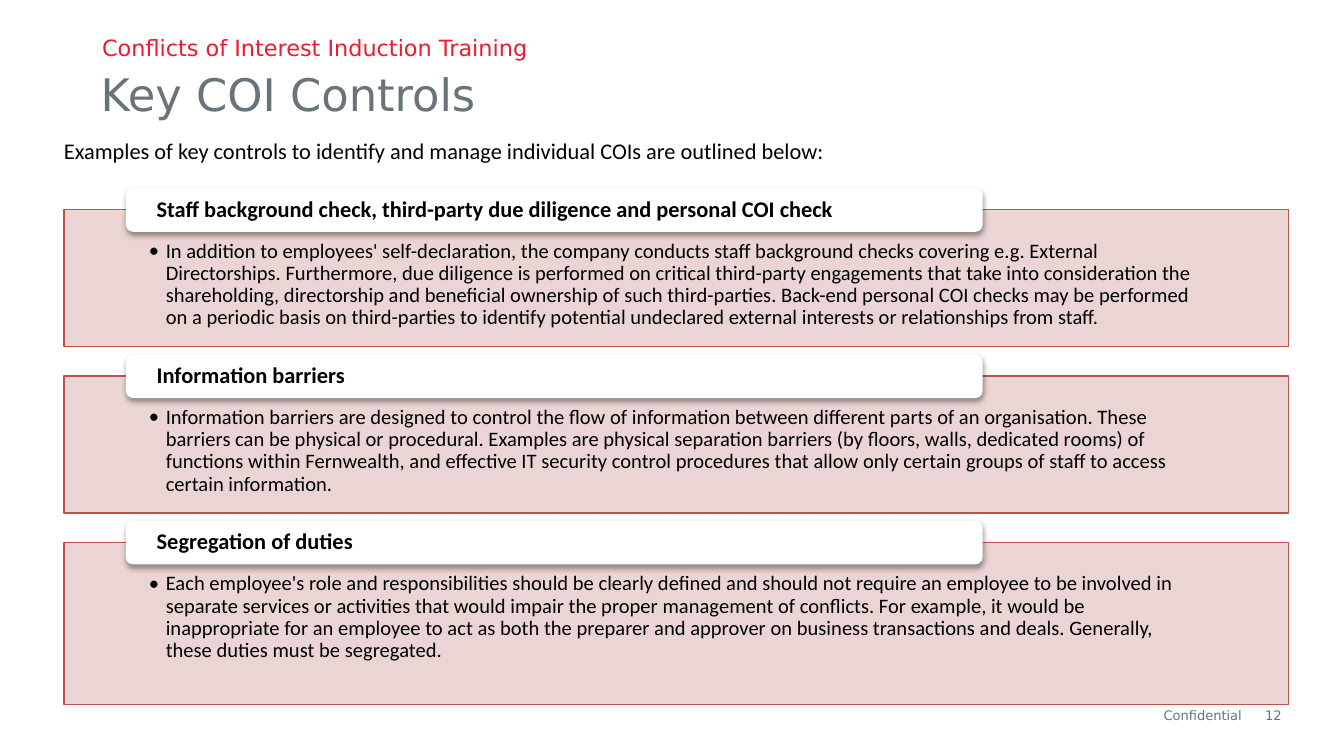
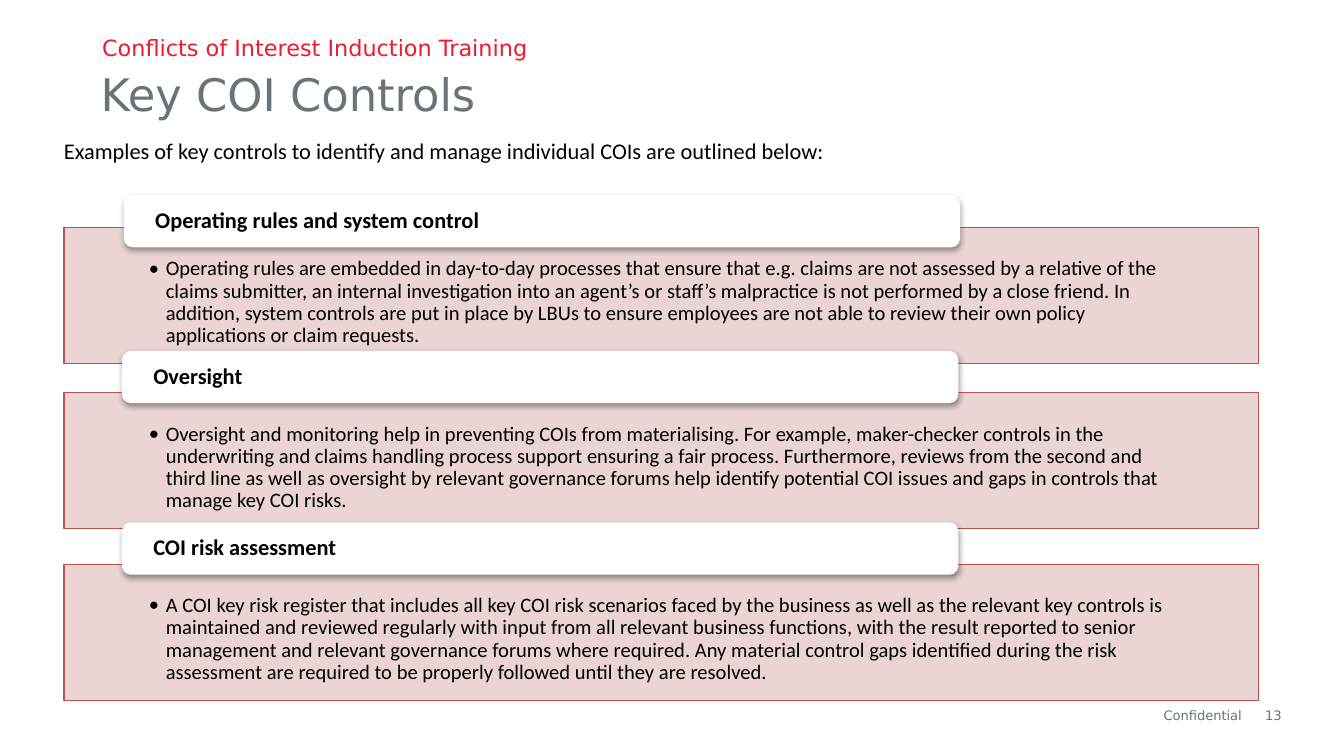
from dataclasses import dataclass
from typing import Any

from lxml.etree import SubElement
from pptx import Presentation
from pptx.dml.color import RGBColor
from pptx.enum.shapes import MSO_SHAPE
from pptx.enum.text import MSO_ANCHOR, PP_ALIGN
from pptx.oxml.ns import qn
from pptx.util import Pt

COLORS = {
    "heading": "68737A",
    "footer": "687379",
    "accent": "ED1B2E",
    "ink": "000000",
    "panel": "E8D0D0",
    "border": "C0504D",
    "white": "FFFFFF",
}

# Font, color and paragraph values of each text style
STYLES: dict[str, dict[str, Any]] = {
    "title": dict(font=dict(name="DejaVu Sans", size=Pt(24)), color="heading",
                  para=dict(line_spacing=Pt(28))),
    "kicker": dict(font=dict(name="DejaVu Sans", size=Pt(12)), color="accent",
                   para=dict(line_spacing=Pt(12))),
    "intro": dict(font=dict(name="Calibri", size=Pt(12)), color="ink", para={}),
    "footer": dict(font=dict(name="DejaVu Sans", size=Pt(7)), color="footer",
                   para=dict(line_spacing=Pt(8))),
    "number": dict(font=dict(name="DejaVu Sans", size=Pt(7)), color="heading",
                   para=dict(line_spacing=Pt(8), alignment=PP_ALIGN.RIGHT)),
    "label": dict(font=dict(name="Calibri", size=Pt(12), bold=True), color="ink",
                  para=dict(line_spacing=0.9, alignment=PP_ALIGN.LEFT)),
    "body": dict(font=dict(name="Calibri", size=Pt(11), bold=False), color="ink",
                 para=dict(line_spacing=0.9, alignment=PP_ALIGN.LEFT, level=1)),
}

PANEL_LEFT = 34.4
BULLET_INDENT = Pt(9)


@dataclass
class Box:
    left: float
    top: float
    width: float
    height: float

    def emu(self) -> list[int]:
        return [Pt(v) for v in (self.left, self.top, self.width, self.height)]


@dataclass
class Control:
    heading: str
    text: str
    panel: Box
    label: Box


@dataclass
class ControlSlide:
    number: int
    controls: list[Control]


def rgb(name: str) -> RGBColor:
    return RGBColor.from_string(COLORS[name])


def write(tf, text: str, style: str, insets=(0, 0, 0, 0), anchor=MSO_ANCHOR.TOP) -> None:
    """Fill a text frame with one styled paragraph."""
    sides = ("margin_left", "margin_top", "margin_right", "margin_bottom")
    frame = dict(zip(sides, map(Pt, insets)), word_wrap=True, vertical_anchor=anchor)
    st = STYLES[style]
    p = tf.paragraphs[0]
    if style == "body":
        pPr = p._p.get_or_add_pPr()
        pPr.set("marL", str(BULLET_INDENT))
        pPr.set("indent", str(-BULLET_INDENT))
        SubElement(pPr, qn("a:buFont"), typeface=st["font"]["name"])
        SubElement(pPr, qn("a:buChar"), char="•")
    r = p.add_run()
    r.text = text
    for target, values in ((tf, frame), (p, st["para"]), (r.font, st["font"])):
        for key, value in values.items():
            setattr(target, key, value)
    r.font.color.rgb = rgb(st["color"])


def add_text(s, box: Box, text: str, style: str, insets=(0, 0, 0, 0)) -> None:
    write(s.shapes.add_textbox(*box.emu()).text_frame, text, style, insets)


def add_filled(s, kind, box: Box, fill: str):
    sp = s.shapes.add_shape(kind, *box.emu())
    sp.shadow.inherit = False
    sp.fill.solid()
    sp.fill.fore_color.rgb = rgb(fill)
    return sp


def add_control(s, c: Control) -> None:
    # Translucent panel with the explanation
    sp = add_filled(s, MSO_SHAPE.RECTANGLE, c.panel, "panel")
    color = sp._element.spPr.find(qn("a:solidFill")).find(qn("a:srgbClr"))
    SubElement(color, qn("a:alpha"), val="90000")
    sp.line.color.rgb = rgb("border")
    sp.line.width = Pt(0.75)
    write(sp.text_frame, c.text, "body", insets=(45.4, 16.4, 45.4, 7.9))

    # White heading tab with a soft shadow
    sp = add_filled(s, MSO_SHAPE.ROUNDED_RECTANGLE, c.label, "white")
    sp.line.fill.background()
    effects = sp._element.spPr.find(qn("a:effectLst"))
    shadow = SubElement(effects, qn("a:outerShdw"), blurRad=str(Pt(3.1)),
                        dist=str(Pt(1.6)), dir="5400000", rotWithShape="0")
    color = SubElement(shadow, qn("a:srgbClr"), val=COLORS["ink"])
    SubElement(color, qn("a:alpha"), val="38000")
    write(sp.text_frame, c.heading, "label", insets=(15.4, 0, 15.4, 0),
          anchor=MSO_ANCHOR.MIDDLE)


def add_slide(prs, content: ControlSlide) -> None:
    s = prs.slides.add_slide(prs.slide_layouts[6])
    # Footer
    add_text(s, Box(623.4, 379.4, 47, 8), "Confidential", "footer")
    add_text(s, Box(672.6, 379.4, 14, 8), str(content.number), "number")
    # Heading
    add_text(s, Box(54, 36.3, 566.6, 23), "Key COI Controls", "title")
    add_text(s, Box(54, 20.9, 566.6, 11.5), "Conflicts of Interest Induction Training",
             "kicker", insets=(0.7, 0, 0, 0))
    add_text(s, Box(34.2, 73.4, 706.3, 15.1),
             "Examples of key controls to identify and manage individual COIs "
             "are outlined below:", "intro")
    # Controls
    for c in content.controls:
        add_control(s, c)


# Contents of the first slide: evenly pitched panels
CHECKS = [
    ("Staff background check, third-party due diligence and personal COI check",
     "In addition to employees' self-declaration, the company conducts staff background "
     "checks covering e.g. External Directorships. Furthermore, due diligence is performed "
     "on critical third-party engagements that take into consideration the shareholding, "
     "directorship and beneficial ownership of such third-parties. Back-end personal COI "
     "checks may be performed on a periodic basis on third-parties to identify potential "
     "undeclared external interests or relationships from staff.", 73.4),
    ("Information barriers",
     "Information barriers are designed to control the flow of information between "
     "different parts of an organisation. These barriers can be physical or procedural. "
     "Examples are physical separation barriers (by floors, walls, dedicated rooms) of "
     "functions within Fernwealth, and effective IT security control procedures that allow "
     "only certain groups of staff to access certain information.", 73.4),
    ("Segregation of duties",
     "Each employee's role and responsibilities should be clearly defined and should not "
     "require an employee to be involved in separate services or activities that would "
     "impair the proper management of conflicts. For example, it would be inappropriate "
     "for an employee to act as both the preparer and approver on business transactions "
     "and deals. Generally, these duties must be segregated.", 87),
]

# Contents of the second slide: panel top, label left, label top
OVERSIGHT = [
    ("Operating rules and system control",
     "Operating rules are embedded in day-to-day processes that ensure that e.g. claims "
     "are not assessed by a relative of the claims submitter, an internal investigation "
     "into an agent’s or staff’s malpractice is not performed by a close friend. In "
     "addition, system controls are put in place by LBUs to ensure employees are not able "
     "to review their own policy applications or claim requests.", 121.9, 66.4, 104.5),
    ("Oversight",
     "Oversight and monitoring help in preventing COIs from materialising. For example, "
     "maker-checker controls in the underwriting and claims handling process support "
     "ensuring a fair process. Furthermore, reviews from the second and third line as well "
     "as oversight by relevant governance forums help identify potential COI issues and "
     "gaps in controls that manage key COI risks.", 210.4, 65.4, 188),
    ("COI risk assessment",
     "A COI key risk register that includes all key COI risk scenarios faced by the "
     "business as well as the relevant key controls is maintained and reviewed regularly "
     "with input from all relevant business functions, with the result reported to senior "
     "management and relevant governance forums where required. Any material control gaps "
     "identified during the risk assessment are required to be properly followed until "
     "they are resolved.", 302.4, 65.4, 279.9),
]


def main() -> None:
    prs = Presentation()
    prs.slide_width, prs.slide_height = Pt(720), Pt(405)

    first_top, pitch = 112.4, 89.1
    checks = []
    for i, (heading, text, height) in enumerate(CHECKS):
        top = first_top + i * pitch
        checks.append(Control(heading, text, Box(PANEL_LEFT, top, 656, height),
                              Box(67.4, top - 11.6, 459, 23.4)))
    oversight = [
        Control(heading, text, Box(PANEL_LEFT, top, 640, 72.8),
                Box(label_left, label_top, 448, 28))
        for heading, text, top, label_left, label_top in OVERSIGHT
    ]

    for content in (ControlSlide(12, checks), ControlSlide(13, oversight)):
        add_slide(prs, content)
    prs.save("out.pptx")


if __name__ == "__main__":
    main()
